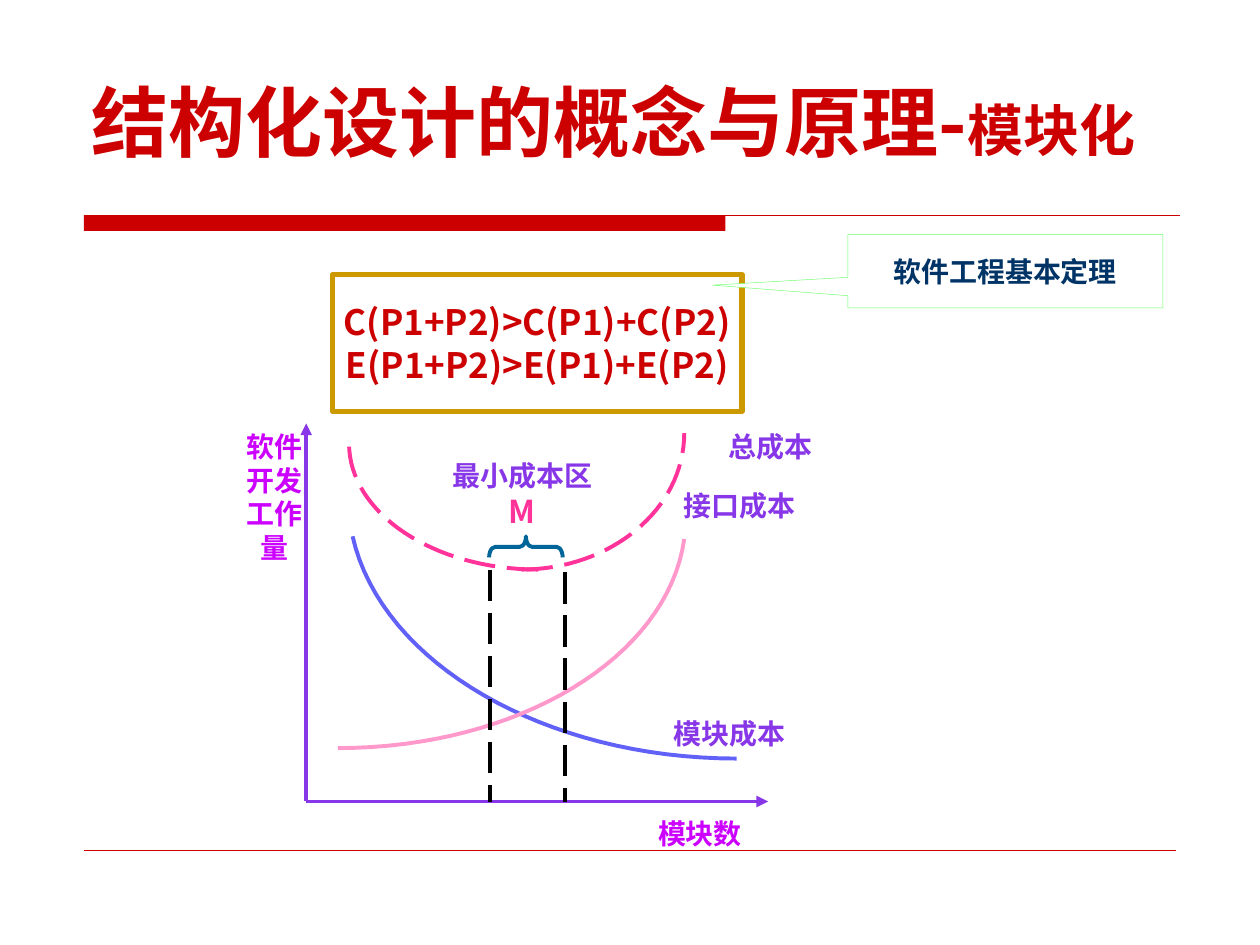
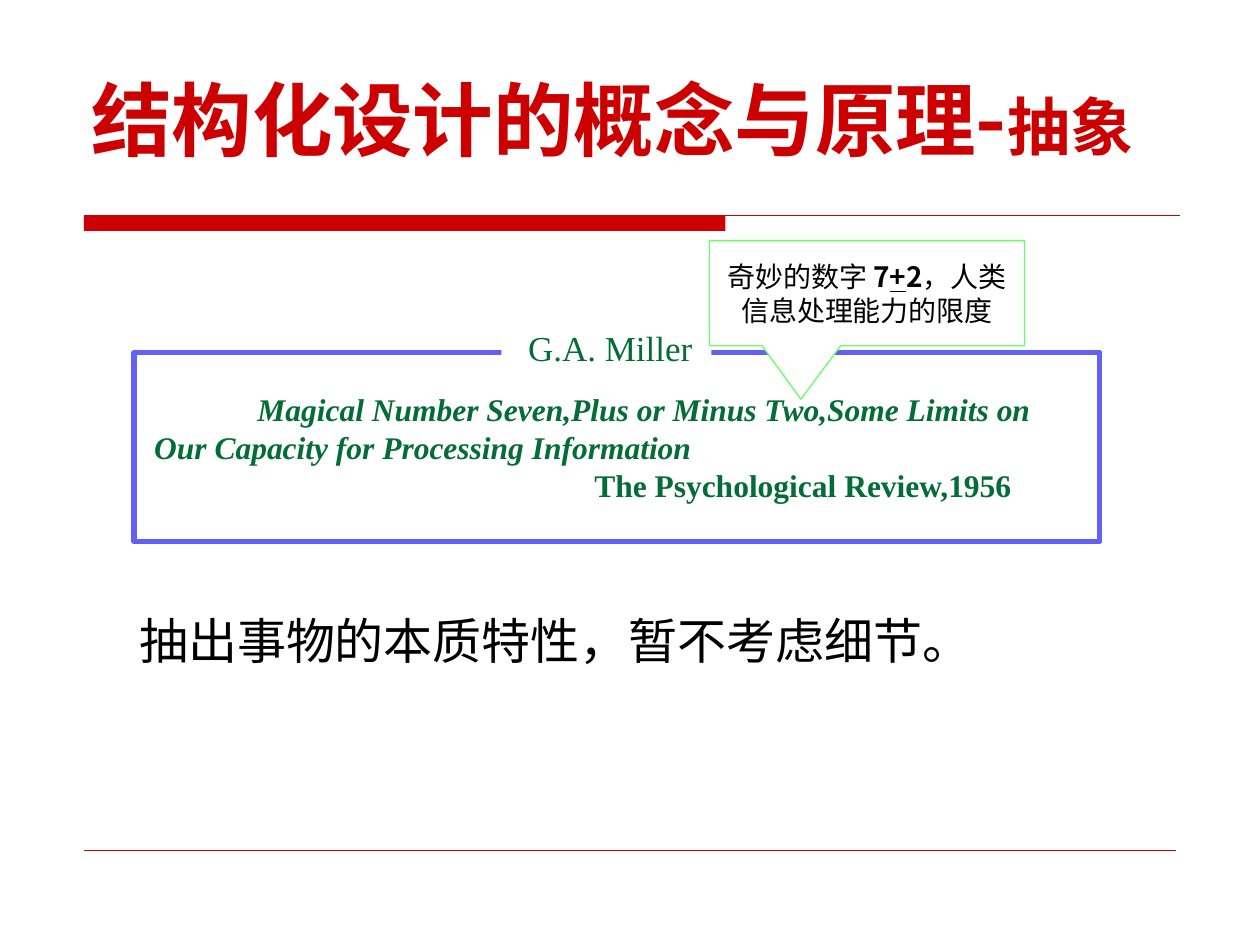
"""Build two slides on structured design: modularity and abstraction."""
from lxml.etree import SubElement
from pptx import Presentation
from pptx.dml.color import RGBColor
from pptx.enum.dml import MSO_LINE
from pptx.enum.shapes import MSO_CONNECTOR, MSO_SHAPE
from pptx.enum.text import MSO_ANCHOR, PP_ALIGN
from pptx.oxml.ns import qn
from pptx.util import Pt

RED = RGBColor(0xCC, 0x00, 0x00)
GOLD = RGBColor(0xCC, 0x99, 0x00)
LIME = RGBColor(0x66, 0xFF, 0x66)
NAVY = RGBColor(0x00, 0x33, 0x66)
PURPLE = RGBColor(0x87, 0x36, 0xE8)
VIOLET = RGBColor(0xCC, 0x00, 0xFF)
PINK = RGBColor(0xFF, 0x33, 0x99)
ROSE = RGBColor(0xFF, 0x99, 0xCC)
BLUE = RGBColor(0x61, 0x61, 0xF7)
TEAL = RGBColor(0x00, 0x66, 0x99)
GREEN = RGBColor(0x04, 0x6C, 0x36)
BLACK = RGBColor(0x00, 0x00, 0x00)
WHITE = RGBColor(0xFF, 0xFF, 0xFF)
SANS, SERIF = "Noto Sans CJK SC", "Times New Roman"


def box(slide, place, paras, look, kind=None, fill=WHITE, edge=None, width=1,
        adjust=(), anchor=MSO_ANCHOR.MIDDLE, align=PP_ALIGN.CENTER, indents=(), wrap=True):
    """Add a text box or preset shape; each paragraph is a list of (text, changes)."""
    place = [Pt(n) for n in place]
    if kind is None:
        item = slide.shapes.add_textbox(*place)
    else:
        item = slide.shapes.add_shape(kind, *place)
        item.shadow.inherit = False
        item.fill.solid()
        item.fill.fore_color.rgb = fill
        if edge is None:
            item.line.fill.background()
        else:
            item.line.color.rgb = edge
            item.line.width = Pt(width)
        for n, value in enumerate(adjust):
            item.adjustments[n] = value
    frame = item.text_frame
    frame.word_wrap = wrap
    frame.vertical_anchor = anchor
    for n, runs in enumerate(paras):
        para = frame.add_paragraph() if n else frame.paragraphs[0]
        para.alignment = align
        if indents:
            para._p.get_or_add_pPr().set("marL", str(Pt(indents[n])))
        for text, change in runs:
            run = para.add_run()
            run.text = text
            style = {"name": SANS, **look, **change}
            run.font.color.rgb = style.pop("color")
            for key, value in style.items():
                setattr(run.font, key, value)
            SubElement(run._r.get_or_add_rPr(), qn("a:ea"), typeface=style["name"])
    return item


def link(slide, start, end, color, width, dash=None, arrow=False):
    """Add a straight line, dashed or with an arrowhead at its end if asked."""
    line = slide.shapes.add_connector(
        MSO_CONNECTOR.STRAIGHT, *[Pt(n) for n in (*start, *end)])
    line.line.color.rgb = color
    line.line.width = Pt(width)
    if dash:
        line.line.dash_style = dash
    if arrow:
        SubElement(line.line._get_or_add_ln(), qn("a:tailEnd"), type="triangle")
    SubElement(line._element.spPr, qn("a:effectLst"))


deck = Presentation()
deck.slide_width, deck.slide_height = Pt(720), Pt(540)

TOPIC = "结构化设计的概念与原理"
titles = [
    [(TOPIC + "-", {"size": Pt(44)}), ("模块化", {"size": Pt(32)})],
    [(TOPIC, {"size": Pt(46)}), ("-", {"size": Pt(48)}), ("抽象", {"size": Pt(36)})],
]
slides = []
for title in titles:
    slide = deck.slides.add_slide(deck.slide_layouts[6])
    box(slide, (48, 123, 366.5, 9), [], {}, MSO_SHAPE.RECTANGLE, RED)
    link(slide, (48, 123), (674.5, 123), RED, 0.75)
    link(slide, (48, 486), (672, 486), RED, 0.25)
    box(slide, (45, 24, 630, 75), [title], {"color": RED, "bold": True},
        anchor=MSO_ANCHOR.BOTTOM, align=PP_ALIGN.LEFT)
    slides.append(slide)
cost, idea = slides

box(cost, (190, 157, 234, 78),
    [[("C(P1+P2)>C(P1)+C(P2)", {})], [("E(P1+P2)>E(P1)+E(P2)", {})]],
    {"size": Pt(20), "bold": True, "color": RED},
    MSO_SHAPE.RECTANGLE, edge=GOLD, width=3, wrap=False)
box(cost, (484.5, 134, 180, 42), [[("软件工程基本定理", {})]],
    {"size": Pt(16), "bold": True, "color": NAVY},
    MSO_SHAPE.RECTANGULAR_CALLOUT, edge=LIME, width=0.25, adjust=(-0.93, 0.19))

labels = [
    ((235.5, 258.5, 126, 48), PURPLE,
     [[("最小成本区", {})], [("M", {"size": Pt(18), "color": PINK})]]),
    ((366, 406, 102, 27), PURPLE, [[("模块成本", {})]]),
    ((371.5, 275.5, 102, 27), PURPLE, [[("接口成本", {})]]),
    ((404.5, 242, 72, 27), PURPLE, [[("总成本", {})]]),
    ((133, 242, 48, 104), VIOLET,
     [[(text, {})] for text in ("软件", "开发", "工作", "量")]),
    ((358, 463, 84, 27), VIOLET, [[("模块数", {})]]),
]
for place, color, paras in labels:
    box(cost, place, paras, {"size": Pt(16), "bold": True, "color": color},
        anchor=MSO_ANCHOR.TOP)

brace = cost.shapes.add_shape(
    MSO_SHAPE.LEFT_BRACE, Pt(294.5), Pt(291.5), Pt(12), Pt(42))
brace.rotation = 90
brace.shadow.inherit = False
brace.adjustments[0] = 0.29
brace.fill.background()
brace.line.color.rgb = TEAL
brace.line.width = Pt(2.25)

origin = (175, 458)
for tip in ((175, 242), (439, 458)):
    link(cost, origin, tip, PURPLE, 2.25, arrow=True)

curves = [
    (BLUE, None, (421, 433.5), (312, 433.5), (218, 379.5), (201.5, 306.5)),
    (ROSE, None, (193, 427.5), (296, 427.5), (381.5, 376), (391, 308)),
    (PINK, MSO_LINE.LONG_DASH, (298, 325.5), (349, 325.5), (391, 291), (391, 247.5)),
    (PINK, MSO_LINE.LONG_DASH, (307.5, 325.5), (247.5, 325.5), (199.5, 293), (199.5, 253.5)),
]
STEPS = 32
for color, dash, *knots in curves:
    points = []
    for n in range(STEPS + 1):
        t = n / STEPS
        parts = ((1 - t) ** 3, 3 * t * (1 - t) ** 2, 3 * t * t * (1 - t), t ** 3)
        points.append([Pt(sum(w * knot[axis] for w, knot in zip(parts, knots)))
                       for axis in (0, 1)])
    pen = cost.shapes.build_freeform(*points[0])
    pen.add_line_segments(points[1:], close=False)
    curve = pen.convert_to_shape()
    curve.shadow.inherit = False
    curve.fill.background()
    curve.line.color.rgb = color
    curve.line.width = Pt(2.25)
    if dash:
        curve.line.dash_style = dash

for x, top in ((280, 325.5), (323, 327)):
    link(cost, (x, top), (x, 458.5), BLACK, 2.25, MSO_LINE.LONG_DASH)

body = box(idea, (72.5, 349, 565, 40), [[("抽出事物的本质特性，暂不考虑细节。", {})]],
           {"size": Pt(28), "color": BLACK}, anchor=MSO_ANCHOR.TOP, align=PP_ALIGN.LEFT)
body.text_frame.paragraphs[0].line_spacing = 0.9

quote = {"name": SERIF, "size": Pt(18), "bold": True, "italic": True, "color": GREEN}
box(idea, (76.5, 201.5, 552, 108),
    [[("Magical Number Seven,Plus or Minus Two,Some Limits on", {})],
     [("Our Capacity for Processing Information", {})],
     [("The Psychological Review,1956", {"italic": False})]],
    quote, MSO_SHAPE.RECTANGLE, edge=BLUE, width=3,
    align=PP_ALIGN.LEFT, indents=(63.5, 4.5, 256))
box(idea, (286.5, 183.5, 120, 30), [[("G.A. Miller", {})]],
    {"name": SERIF, "size": Pt(20), "color": GREEN}, MSO_SHAPE.RECTANGLE, indents=(4.5,))
box(idea, (405.5, 137.5, 180, 60),
    [[("奇妙的数字 ", {}), ("7", {"bold": True}),
      ("+", {"bold": True, "underline": True}), ("2", {"bold": True}),
      ("，人类信息处理能力的限度", {})]],
    {"size": Pt(16), "color": BLACK},
    MSO_SHAPE.RECTANGULAR_CALLOUT, edge=LIME, width=0.75, adjust=(-0.21, 1.01))

deck.save("out.pptx")
